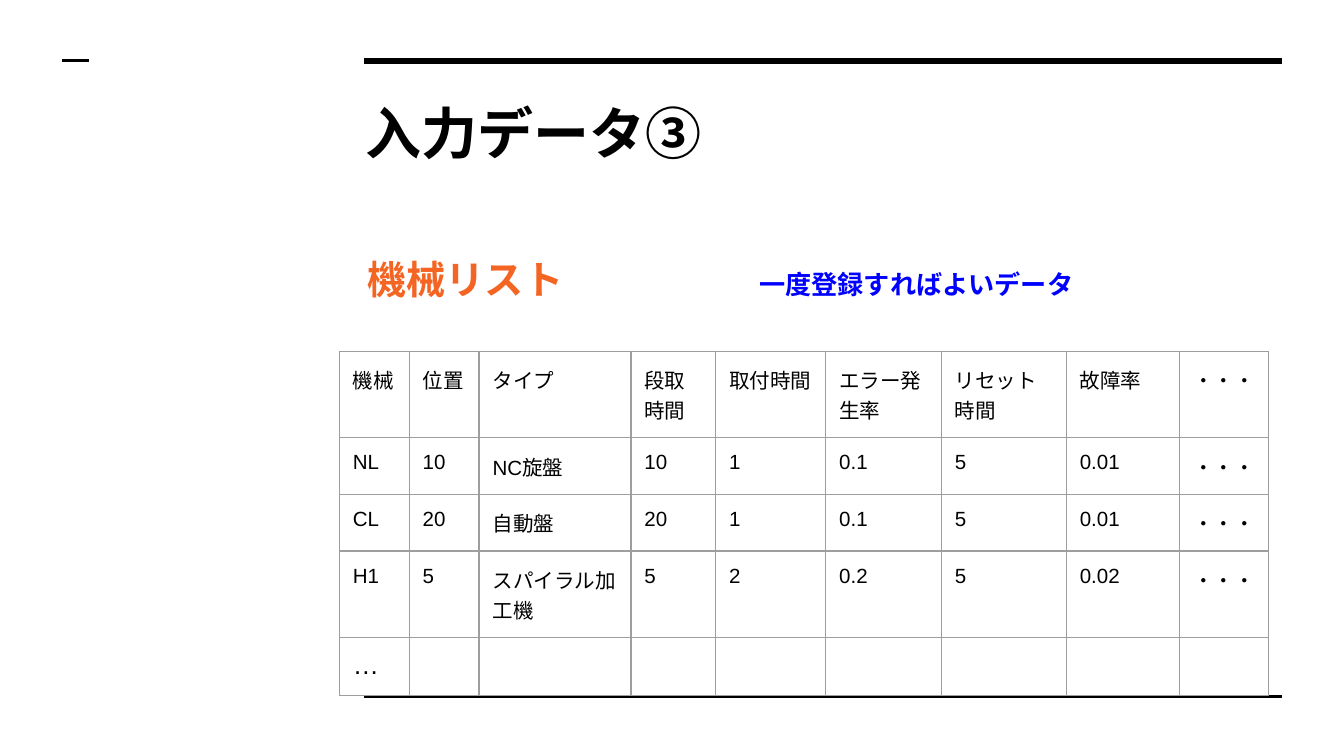
from dataclasses import dataclass

from lxml.etree import SubElement as Sub
from pptx import Presentation
from pptx.dml.color import RGBColor
from pptx.enum.shapes import MSO_CONNECTOR as Link
from pptx.oxml import parse_xml
from pptx.oxml.ns import nsdecls, qn
from pptx.util import Inches, Pt

WIDE, HIGH = Pt(720), Pt(405)
PAD = Inches(0.1)
BLACK, GRAY = "000000", "9E9E9E"


@dataclass
class Rule:
    left: float
    right: float
    top: float
    weight: float


@dataclass
class Box:
    left: float
    top: float
    width: float
    height: float

    def place(self) -> tuple:
        return across(self.left), down(self.top), across(self.width), down(self.height)


RULES = [
    Rule(27.1, 95.4, 8.05, 3),
    Rule(27.1, 95.4, 92.1, 1.5),
    Rule(4.65, 6.65, 8.05, 1.5),
]
TITLE = Box(26.23, 11.3, 69.1, 12.3)
BODY = Box(26.35, 31.1, 69.1, 58.3)
COLS = [5.2, 5.2, 11.3, 6.3, 8.2, 8.6, 9.3, 8.45, 6.6]
LINES = [11.4, 7.5, 7.5, 11.4, 7.4]
GRID = Box(25.25, 46.5, sum(COLS), sum(LINES))
ROWS = [
    ["機械", "位置", "タイプ", "段取時間", "取付時間", "エラー発生率", "リセット時間", "故障率", "・・・"],
    ["NL", "10", "NC旋盤", "10", "1", "0.1", "5", "0.01", "・・・"],
    ["CL", "20", "自動盤", "20", "1", "0.1", "5", "0.01", "・・・"],
    ["H1", "5", "スパイラル加工機", "5", "2", "0.2", "5", "0.02", "・・・"],
    ["…"] + [""] * 8,
]


def across(share: float) -> int:
    return round(WIDE * share / 100)


def down(share: float) -> int:
    return round(HIGH * share / 100)


def color(code: str) -> RGBColor:
    return RGBColor.from_string(code)


def write(para, text: str, size: float = 11, font: str = "Arial",
          ink: str = BLACK, bold: bool = False) -> None:
    if not text:
        Sub(para._p, qn("a:endParaRPr"), sz=str(size * 100))
        return
    run = para.add_run()
    run.text = text
    run.font.size = Pt(size)
    run.font.name = font
    run.font.bold = bold
    run.font.color.rgb = color(ink)


def draw_rule(slide, rule: Rule) -> None:
    line = slide.shapes.add_connector(
        Link.STRAIGHT, across(rule.left), down(rule.top),
        across(rule.right), down(rule.top))
    line.line.color.rgb = color(BLACK)
    line.line.width = Pt(rule.weight)
    Sub(line._element.spPr, qn("a:effectLst"))


def add_text(slide, box: Box):
    frame = slide.shapes.add_textbox(*box.place()).text_frame
    frame.word_wrap = True
    pad(frame)
    return frame.paragraphs[0]


def pad(item) -> None:
    item.margin_left = item.margin_right = PAD
    item.margin_top = item.margin_bottom = PAD


def set_tab(para, stop: int) -> None:
    props = para._p.get_or_add_pPr()
    tabs = Sub(props, qn("a:tabLst"))
    Sub(tabs, qn("a:tab"), pos=str(stop), algn="l")


def edge(cell) -> None:
    props = cell._tc.get_or_add_tcPr()
    for spot, side in enumerate("LRTB"):
        props.insert(spot, parse_xml(
            f'<a:ln{side} {nsdecls("a")} w="{Pt(0.75)}"><a:solidFill>'
            f'<a:srgbClr val="{GRAY}"/></a:solidFill></a:ln{side}>'))


def draw_table(slide) -> None:
    table = slide.shapes.add_table(len(ROWS), len(COLS), *GRID.place()).table
    table.first_row = table.horz_banding = False
    for col, share in zip(table.columns, COLS):
        col.width = across(share)
    for row, share, texts in zip(table.rows, LINES, ROWS):
        row.height = down(share)
        for cell, text in zip(row.cells, texts):
            pad(cell)
            cell.fill.background()
            edge(cell)
            write(cell.text_frame.paragraphs[0], text, size=14 if text == "…" else 11)


def main() -> None:
    deck = Presentation()
    deck.slide_width, deck.slide_height = WIDE, HIGH
    slide = deck.slides.add_slide(deck.slide_layouts[6])
    for rule in RULES:
        draw_rule(slide, rule)
    write(add_text(slide, TITLE), "入力データ③", size=30, font="Manrope", bold=True)
    para = add_text(slide, BODY)
    para.line_spacing = 1.15
    set_tab(para, across(29.15))
    write(para, "機械リスト\t", size=21, font="Lato", ink="F46524", bold=True)
    write(para, "一度登録すればよいデータ", size=14, font="Lato", ink="0000FF", bold=True)
    draw_table(slide)
    deck.save("out.pptx")


if __name__ == "__main__":
    main()
